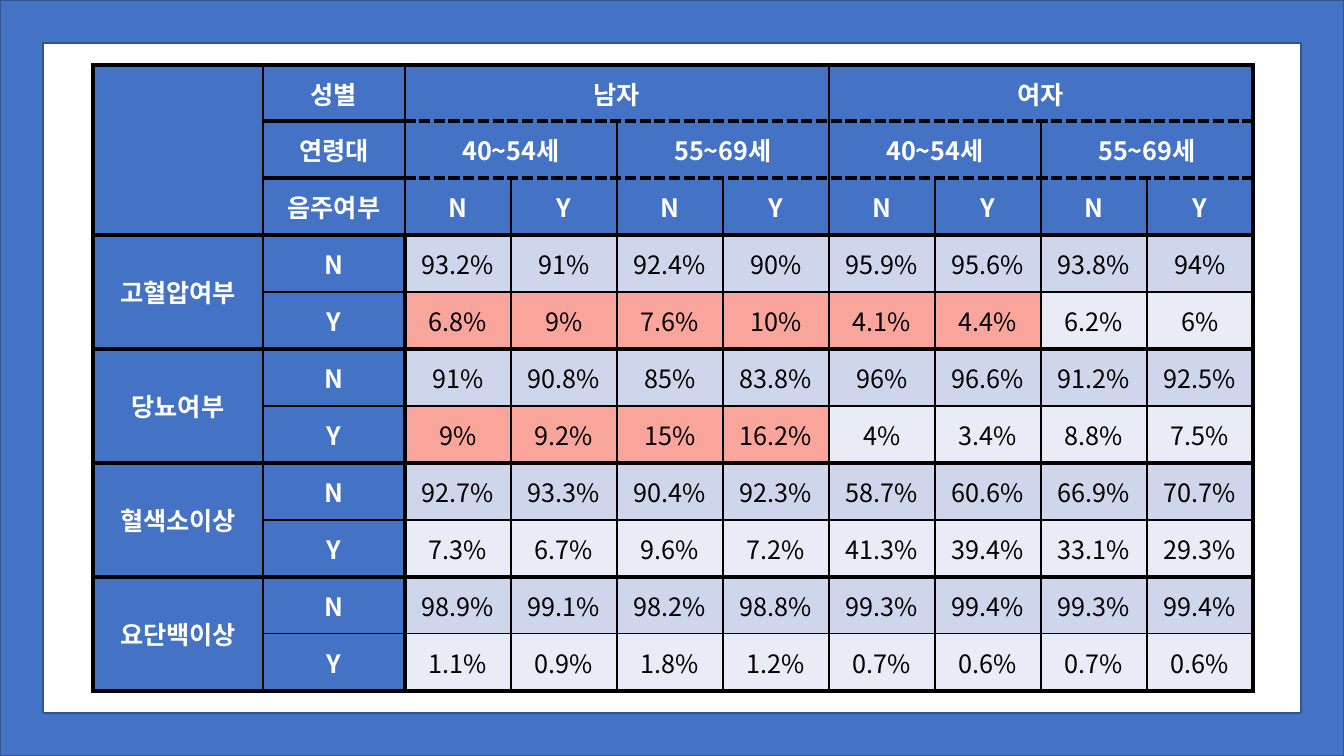
from lxml import etree
from pptx import Presentation
from pptx.dml.color import RGBColor
from pptx.enum.dml import MSO_LINE
from pptx.enum.shapes import MSO_SHAPE
from pptx.enum.text import MSO_ANCHOR, PP_ALIGN
from pptx.oxml.ns import qn
from pptx.util import Emu, Pt

FRAME, SOLID = MSO_SHAPE.FRAME, MSO_LINE.SOLID
MIDDLE, CENTER = MSO_ANCHOR.MIDDLE, PP_ALIGN.CENTER
PX_PER_INCH = 100.8
SLIDE_BOX = (0, 0, 1344, 756)
TABLE_BOX = (93, 65, 1160, 626)
LABEL_WIDTHS = [170, 142]
ROW_HEIGHT = 57

BLUE = RGBColor(0x44, 0x72, 0xC4)
DARK_BLUE = RGBColor(0x32, 0x54, 0x91)
BAND_DARK = RGBColor(0xCF, 0xD5, 0xEA)
BAND_LIGHT = RGBColor(0xE9, 0xEB, 0xF5)
HIGHLIGHT = RGBColor(0xFA, 0xA5, 0x9C)
BLACK = RGBColor(0, 0, 0)
WHITE = RGBColor(0xFF, 0xFF, 0xFF)

FONT_NAME = "Noto Sans CJK KR"
TEXT_FORMAT = {"name": FONT_NAME, "size": Pt(18)}
THICK, MEDIUM, THIN = 3, 2.25, 1

HEADER_ROWS, LABEL_COLUMNS, VALUE_COLUMNS = 3, 2, 8
HEADERS = [
    ("성별", ["남자", "여자"]),
    ("연령대", ["40~54세", "55~69세"] * 2),
    ("음주여부", ["N", "Y"] * 4),
]
CONDITIONS = [
    ("고혈압여부", 6, "93.2% 91% 92.4% 90% 95.9% 95.6% 93.8% 94%",
     "6.8% 9% 7.6% 10% 4.1% 4.4% 6.2% 6%"),
    ("당뇨여부", 4, "91% 90.8% 85% 83.8% 96% 96.6% 91.2% 92.5%",
     "9% 9.2% 15% 16.2% 4% 3.4% 8.8% 7.5%"),
    ("혈색소이상", 0, "92.7% 93.3% 90.4% 92.3% 58.7% 60.6% 66.9% 70.7%",
     "7.3% 6.7% 9.6% 7.2% 41.3% 39.4% 33.1% 29.3%"),
    ("요단백이상", 0, "98.9% 99.1% 98.2% 98.8% 99.3% 99.4% 99.3% 99.4%",
     "1.1% 0.9% 1.8% 1.2% 0.7% 0.6% 0.7% 0.6%"),
]
ROW_COUNT = HEADER_ROWS + 2 * len(CONDITIONS)
COLUMN_COUNT = LABEL_COLUMNS + VALUE_COLUMNS


def px(length):
    return Emu(round(length * 914400 / PX_PER_INCH))


def apply_format(target, values):
    for name, value in values.items():
        setattr(target, name, value)


def vertical_edge(row, column):
    if column in (0, COLUMN_COUNT):
        return THICK, "solid"
    if row >= HEADER_ROWS:
        return (THICK if column == LABEL_COLUMNS else THIN), "solid"
    group = VALUE_COLUMNS // len(HEADERS[min(row, 1)][1])
    divides_group = column > LABEL_COLUMNS and (column - LABEL_COLUMNS) % group == 0
    return (MEDIUM if divides_group else THIN), "solid"


def horizontal_edge(row, column):
    if 0 < row < HEADER_ROWS:
        return THICK, "dash" if column >= LABEL_COLUMNS else "solid"
    starts_block = row == 0 or (row - HEADER_ROWS) % 2 == 0
    return (THICK if starts_block else THIN), "solid"


def add_border(cell, side, width, dash):
    properties = cell._tc.get_or_add_tcPr()
    line = etree.SubElement(properties, qn(f"a:ln{side}"), w=str(Pt(width)))
    fill = etree.SubElement(line, qn("a:solidFill"))
    etree.SubElement(fill, qn("a:srgbClr"), val=str(BLACK))
    etree.SubElement(line, qn("a:prstDash"), val=dash)


def add_borders(table, row, column, height, width):
    bottom, right = row + height, column + width
    for r in range(row, bottom):
        for c in range(column, right):
            origin = (r, c) == (row, column)
            edges = [
                ("L", c == column, vertical_edge(row, column)),
                ("R", c == right - 1, vertical_edge(row, right)),
                ("T", r == row, horizontal_edge(row, column)),
                ("B", r == bottom - 1, horizontal_edge(bottom, column)),
            ]
            for side, on_outline, style in edges:
                if origin or on_outline:
                    add_border(table.cell(r, c), side, *style)


def fill_cell(table, row, column, text, fill=BLUE, height=1, width=1):
    cell = table.cell(row, column)
    if height * width > 1:
        cell.merge(table.cell(row + height - 1, column + width - 1))
    add_borders(table, row, column, height, width)
    for r in range(row, row + height):
        for c in range(column, column + width):
            member = table.cell(r, c)
            member.fill.solid()
            member.fill.fore_color.rgb = fill
    cell.vertical_anchor = MIDDLE
    if not text:
        return
    paragraph = cell.text_frame.paragraphs[0]
    paragraph.alignment = CENTER
    run = paragraph.add_run()
    run.text = text
    is_label = fill == BLUE
    apply_format(run.font, {**TEXT_FORMAT, "bold": is_label})
    run.font.color.rgb = WHITE if is_label else BLACK
    etree.SubElement(run._r.get_or_add_rPr(), qn("a:ea"), typeface=FONT_NAME)


def fill_headers(table):
    fill_cell(table, 0, 0, "", height=HEADER_ROWS)
    for row, (label, groups) in enumerate(HEADERS):
        fill_cell(table, row, 1, label)
        width = VALUE_COLUMNS // len(groups)
        for index, group in enumerate(groups):
            fill_cell(table, row, LABEL_COLUMNS + index * width, group, width=width)


def fill_conditions(table):
    for index, (condition, highlighted, no_rates, yes_rates) in enumerate(CONDITIONS):
        top = HEADER_ROWS + 2 * index
        fill_cell(table, top, 0, condition, height=2)
        bands = [("N", no_rates, BAND_DARK, 0), ("Y", yes_rates, BAND_LIGHT, highlighted)]
        for row, (answer, rates, band, marked) in enumerate(bands, top):
            fill_cell(table, row, 1, answer)
            for position, rate in enumerate(rates.split()):
                fill = HIGHLIGHT if position < marked else band
                fill_cell(table, row, LABEL_COLUMNS + position, rate, fill)


def add_frame(slide, box):
    frame = slide.shapes.add_shape(FRAME, *map(px, box))
    frame.adjustments[0] = 0.057
    frame.shadow.inherit = False
    frame.fill.solid()
    frame.fill.fore_color.rgb = BLUE
    frame.line.color.rgb = DARK_BLUE
    apply_format(frame.line, {"width": Pt(1), "dash_style": SOLID})


def add_health_table(slide, box):
    left, top, width, height = box
    table = slide.shapes.add_table(ROW_COUNT, COLUMN_COUNT, *map(px, box)).table
    value_width = (width - sum(LABEL_WIDTHS)) // VALUE_COLUMNS
    for column, size in zip(table.columns, LABEL_WIDTHS + [value_width] * VALUE_COLUMNS):
        column.width = px(size)
    first_height = height - ROW_HEIGHT * (ROW_COUNT - 1)
    for row, size in zip(table.rows, [first_height] + [ROW_HEIGHT] * (ROW_COUNT - 1)):
        row.height = px(size)
    fill_headers(table)
    fill_conditions(table)


def main():
    presentation = Presentation()
    apply_format(presentation, {"slide_width": px(SLIDE_BOX[2]), "slide_height": px(SLIDE_BOX[3])})
    slide = presentation.slides.add_slide(presentation.slide_layouts[6])
    add_frame(slide, SLIDE_BOX)
    add_health_table(slide, TABLE_BOX)
    presentation.save("out.pptx")


if __name__ == "__main__":
    main()
